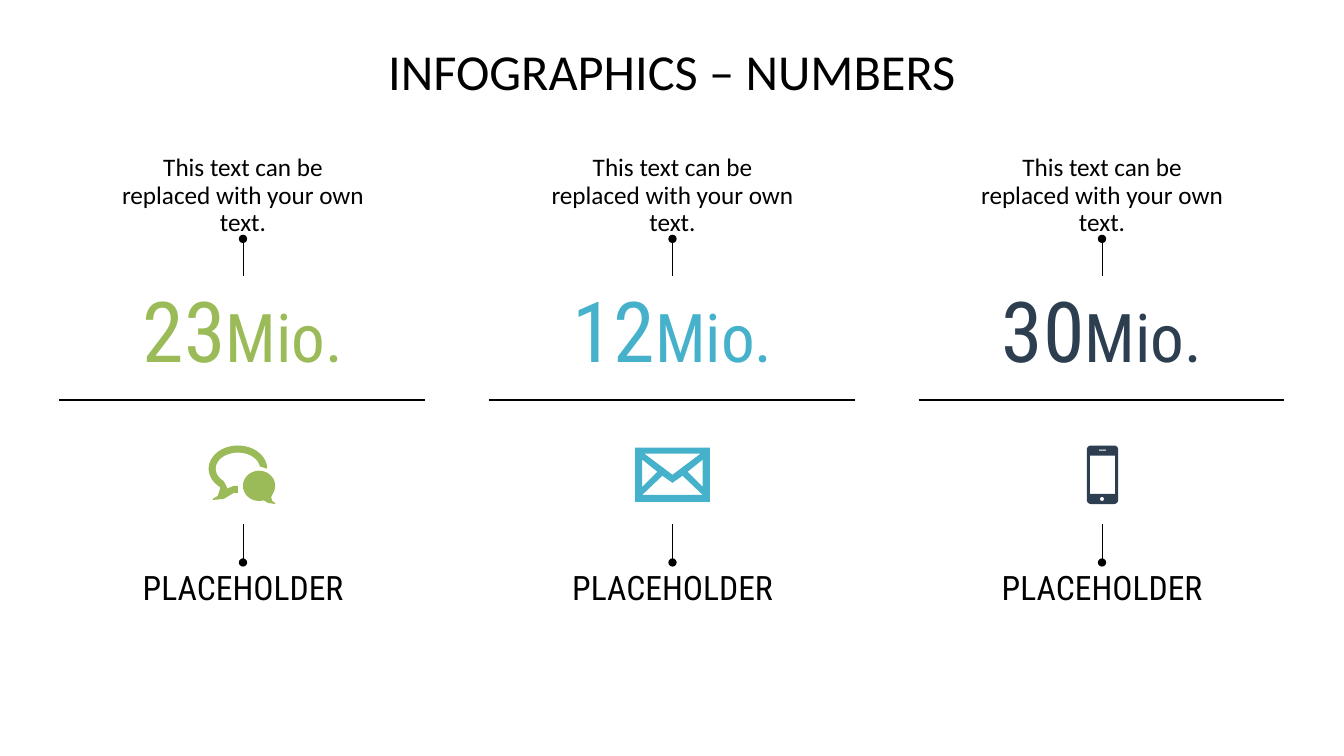
from math import cos, radians, sin

from lxml import etree
from pptx import Presentation
from pptx.dml.color import RGBColor
from pptx.enum import shapes, text
from pptx.oxml import ns
from pptx.util import Inches, Pt

COLORS = {"black": "000000", "green": "9BBB59", "blue": "45B1CB", "navy": "2C3E50"}
BODY, DISPLAY = "Calibri", "Roboto Condensed"


class Infographic:
    """Holds the fonts, colours and current slide."""

    def __init__(self, slide):
        self.slide = slide
        self.column = None

    def start_column(self):
        self.column = self.slide.shapes.add_group_shape().shapes

    def set_text(self, frame, runs, spacing, anchor, bottom=0, after=0):
        frame.word_wrap = True
        frame.auto_size = text.MSO_AUTO_SIZE.NONE
        frame.vertical_anchor = anchor
        frame.margin_left = frame.margin_right = frame.margin_top = 0
        frame.margin_bottom = Inches(bottom)
        paragraph = frame.paragraphs[0]
        paragraph.alignment = text.PP_ALIGN.CENTER
        paragraph.line_spacing = spacing
        paragraph.space_before, paragraph.space_after = Pt(0), Pt(after)
        for words, size, font, color in runs:
            run = paragraph.add_run()
            run.text = words
            run.font.size, run.font.name = Pt(size), font
            run.font.color.rgb = RGBColor.from_string(COLORS[color])

    def title(self, words):
        heading = self.slide.shapes.title
        heading.left, heading.top = Inches(0.59), Inches(0.47)
        heading.width, heading.height = Inches(12.15), Inches(1.18)
        self.set_text(heading.text_frame, [(words, 36, BODY, "black")], 0.9,
                      text.MSO_ANCHOR.TOP)

    def label(self, center, top, width, height, runs, spacing=0.9, bottom=0.12):
        box = self.column.add_textbox(Inches(center - width / 2), Inches(top),
                                      Inches(width), Inches(height))
        self.set_text(box.text_frame, runs, spacing, text.MSO_ANCHOR.MIDDLE, bottom, 10)

    def line(self, x1, y1, x2, y2, weight, dot=False):
        rule = self.column.add_connector(shapes.MSO_CONNECTOR.STRAIGHT, Inches(x1),
                                         Inches(y1), Inches(x2), Inches(y2))
        rule.line.width = Pt(weight)
        rule.line.color.rgb = RGBColor.from_string(COLORS["black"])
        properties = rule._element.spPr
        if dot:
            etree.SubElement(properties.find(ns.qn("a:ln")), ns.qn("a:tailEnd"), type="oval")
        etree.SubElement(properties, ns.qn("a:effectLst"))

    def icon(self, center, contours, color):
        outlines = [[(Inches(center + x), Inches(y)) for x, y in contour]
                    for contour in contours]
        builder = self.column.build_freeform(*outlines[0][0])
        for number, outline in enumerate(outlines):
            if number:
                builder.move_to(*outline[0])
            builder.add_line_segments(outline[1:], close=True)
        symbol = builder.convert_to_shape()
        symbol.shadow.inherit = False
        symbol.fill.solid()
        symbol.fill.fore_color.rgb = RGBColor.from_string(COLORS[color])
        symbol.line.fill.background()


def arc(x, y, rx, ry, start, end, steps=32):
    angles = [radians(start + (end - start) * i / steps) for i in range(steps + 1)]
    return [(x + rx * cos(a), y + ry * sin(a)) for a in angles]


def rect(left, top, right, bottom, radius=0):
    if not radius:
        return [(left, top), (right, top), (right, bottom), (left, bottom)]
    corners = rect(left + radius, top + radius, right - radius, bottom - radius)
    return [point for i, (x, y) in enumerate(corners)
            for point in arc(x, y, radius, radius, 180 + 90 * i, 270 + 90 * i, 6)]


# Icon outlines: x from the column centre, y from the slide top
CHAT = [
    arc(-0.05, 4.65, 0.29, 0.23, 0, -233)
    + [(-0.23, 4.86), (-0.25, 4.92), (-0.3, 4.95), (-0.3, 4.96), (-0.19, 4.95),
       (-0.09, 4.89), (-0.05, 4.89), (-0.05, 4.82), (-0.09, 4.82), (-0.14, 4.84),
       (-0.16, 4.85), (-0.16, 4.83)]
    + arc(-0.05, 4.65, 0.22, 0.16, 130, 352),
    arc(0.16, 4.82, 0.16, 0.15, 68, 390)
    + [(0.28, 4.93), (0.29, 4.97), (0.32, 4.99), (0.32, 5), (0.25, 4.99), (0.2, 4.96)],
]
ENVELOPE = [
    rect(-0.37, 4.44, 0.37, 4.98),
    [(-0.1, 4.72), (-0.3, 4.91), (0.3, 4.91), (0.1, 4.72), (0, 4.79)],
    [(-0.28, 4.5), (0, 4.71), (0.28, 4.5)],
    [(0.3, 4.83), (0.3, 4.56), (0.15, 4.68)],
    [(-0.15, 4.68), (-0.3, 4.56), (-0.3, 4.83)],
]
PHONE = [
    rect(-0.15, 4.42, 0.16, 5, 0.04),
    rect(-0.12, 4.52, 0.13, 4.9),
    arc(0, 4.95, 0.02, 0.02, 0, 360),
    rect(-0.03, 4.46, 0.04, 4.47),
]
FIGURES = [("23", "green", CHAT), ("12", "blue", ENVELOPE), ("30", "navy", PHONE)]


def main():
    deck = Presentation()
    deck.slide_width, deck.slide_height = Inches(13.33), Inches(7.5)
    page = Infographic(deck.slides.add_slide(deck.slide_layouts[5]))
    page.title("INFOGRAPHICS – NUMBERS")

    for index, (amount, color, outline) in enumerate(FIGURES):
        center = 2.41 + 4.26 * index
        page.start_column()
        # Rule and dotted leaders
        page.line(center - 1.82, 3.97, center + 1.81, 3.97, 1.5)
        page.line(center, 2.74, center, 2.37, 0.5, dot=True)
        page.line(center, 5.2, center, 5.58, 0.5, dot=True)
        # Icon
        page.icon(center, outline, color)
        # Description, figure and caption
        page.label(center, 1.65, 2.51, 0.71,
                   [("This text can be replaced with your own text.", 18, BODY, "black")])
        page.label(center, 2.74, 3.63, 1.23,
                   [(amount, 60, DISPLAY, color), ("Mio.", 48, DISPLAY, color)], 0.8, 0)
        page.label(center, 5.64, 2.51, 0.54, [("PLACEHOLDER", 24, DISPLAY, "black")])

    deck.save("out.pptx")


if __name__ == "__main__":
    main()
